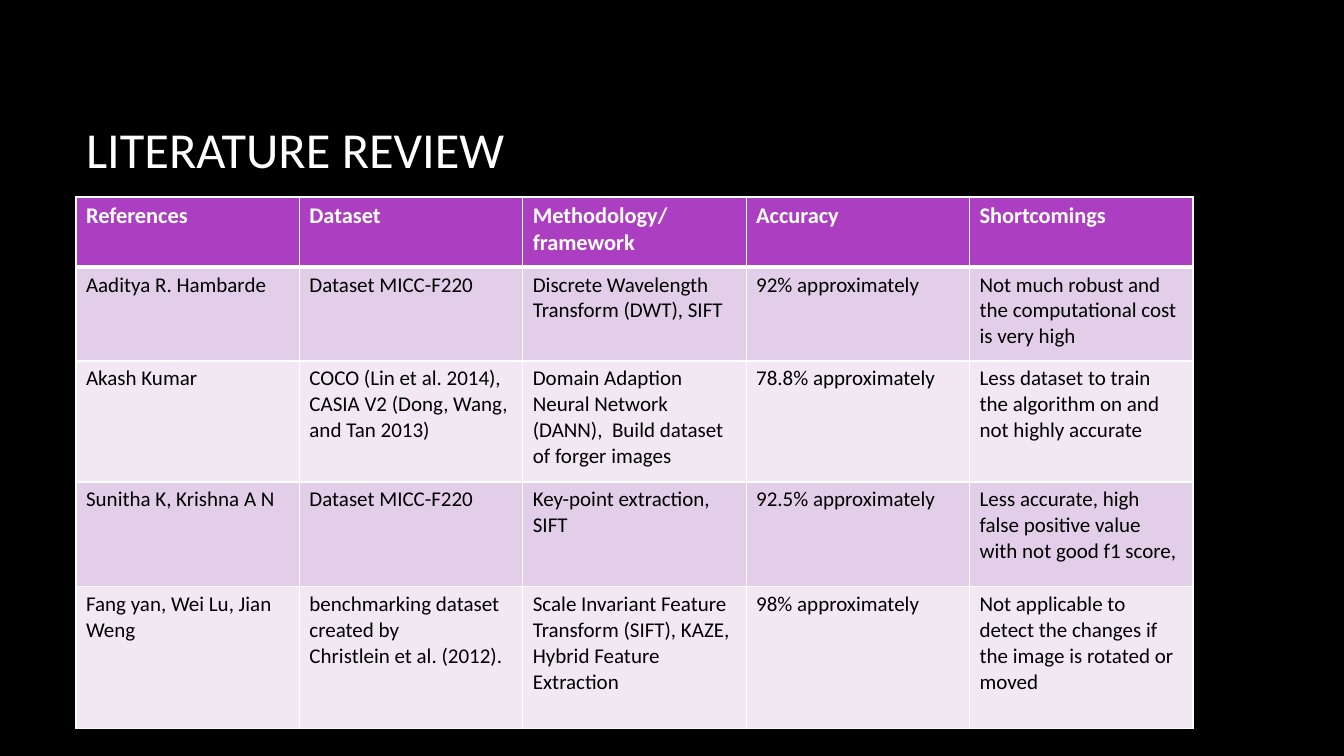
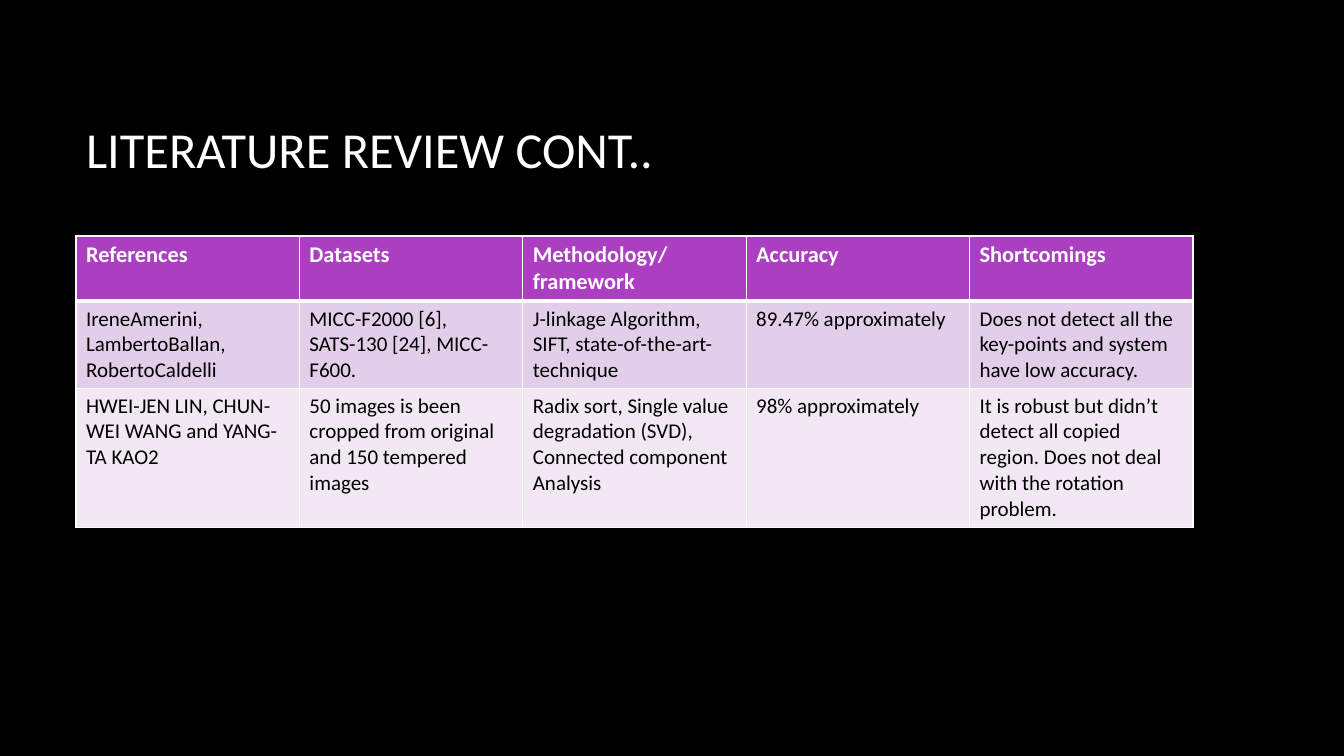
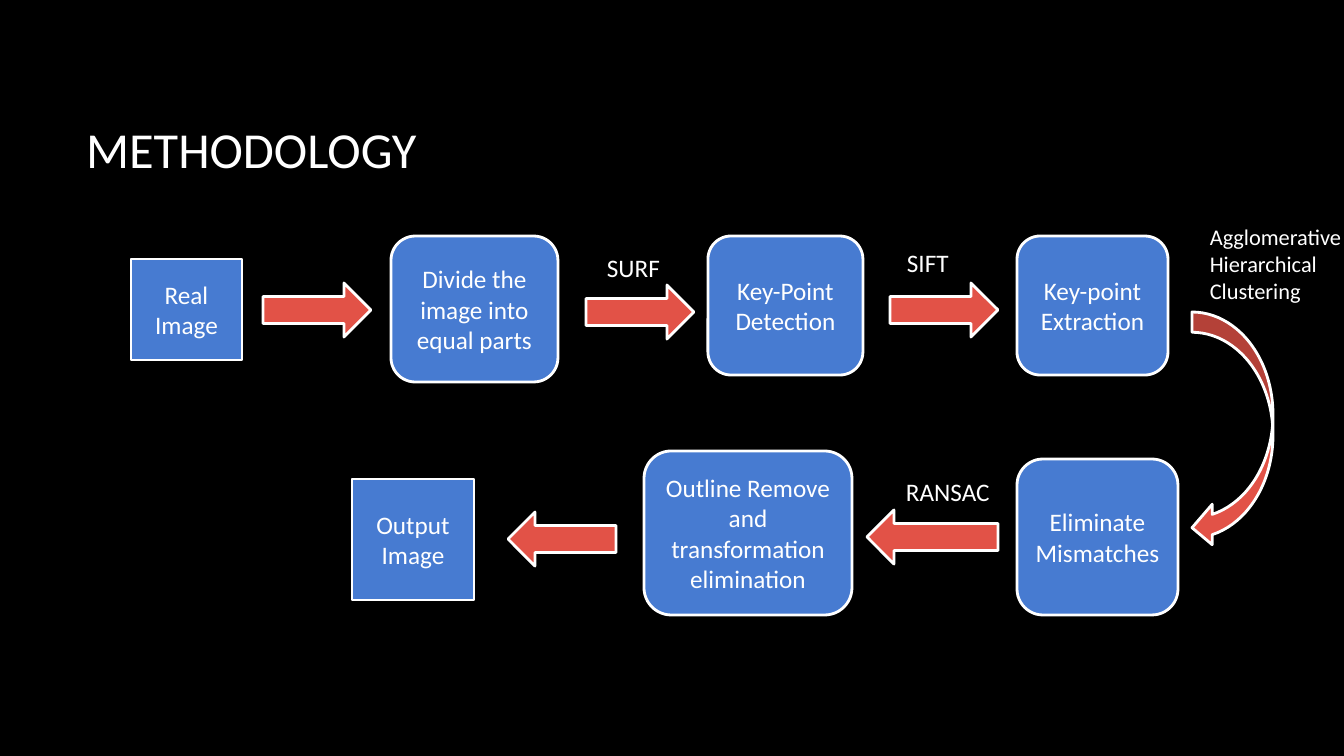
"""Build two literature review tables and a methodology flow on black slides."""
from lxml import etree
from pptx import Presentation
from pptx.dml.color import RGBColor
from pptx.enum.shapes import MSO_SHAPE
from pptx.enum.text import MSO_ANCHOR, PP_ALIGN
from pptx.oxml.ns import qn
from pptx.util import Emu, Pt

BLACK = RGBColor(0x00, 0x00, 0x00)
WHITE = RGBColor(0xFF, 0xFF, 0xFF)
PURPLE = RGBColor(0xAC, 0x3E, 0xC1)
LILAC = RGBColor(0xE3, 0xCE, 0xE9)
PALE_LILAC = RGBColor(0xF1, 0xE8, 0xF4)
BLUE = RGBColor(0x47, 0x7B, 0xD1)
RED = RGBColor(0xE2, 0x52, 0x47)

RECTANGLE = MSO_SHAPE.RECTANGLE
ROUNDED = MSO_SHAPE.ROUNDED_RECTANGLE
RIGHT_ARROW = MSO_SHAPE.RIGHT_ARROW
LEFT_ARROW = MSO_SHAPE.LEFT_ARROW
CURVED_ARROW = MSO_SHAPE.CURVED_LEFT_ARROW
LEFT, CENTER = PP_ALIGN.LEFT, PP_ALIGN.CENTER
MIDDLE = MSO_ANCHOR.MIDDLE

EMU_PER_PX = 914400 / 100.8
SLIDE_SIZE = (1344, 756)
CONTENT_LEFT, CONTENT_WIDTH = 76, 1117
TITLE_BOX = (CONTENT_LEFT, 68, CONTENT_WIDTH, 160)
TITLE_ONLY = 5

TITLE_FONT = {"name": "Calibri", "size": Pt(36), "bold": False}
HEADER_FONT = {"name": "Calibri", "size": Pt(16), "bold": True}
CELL_FONT = {"name": "Calibri", "size": Pt(15), "bold": False}
FLOW_FONT = {"name": "Calibri", "size": Pt(18), "bold": False}
NOTE_FONT = {"name": "Calibri", "size": Pt(16), "bold": False}

REVIEWS = [
    {
        "title": "LITERATURE REVIEW",
        "top": 197,
        "row_heights": [70, 94, 121, 105, 142],
        "rows": [
            ("References", "Dataset", "Methodology/framework", "Accuracy", "Shortcomings"),
            ("Aaditya R. Hambarde", "Dataset MICC-F220",
             "Discrete Wavelength Transform (DWT), SIFT", "92% approximately",
             "Not much robust and the computational cost is very high"),
            ("Akash Kumar", "COCO (Lin et al. 2014), CASIA V2 (Dong, Wang, and Tan 2013)",
             "Domain Adaption Neural Network (DANN),  Build dataset of forger images",
             "78.8% approximately",
             "Less dataset to train the algorithm on and not highly accurate"),
            ("Sunitha K, Krishna A N", "Dataset MICC-F220",
             "Key-point extraction, SIFT", "92.5% approximately",
             "Less accurate, high false positive value with not good f1 score,"),
            ("Fang yan, Wei Lu, Jian Weng",
             "benchmarking dataset created by\nChristlein et al. (2012).",
             "Scale Invariant Feature Transform (SIFT), KAZE, Hybrid Feature Extraction",
             "98% approximately",
             "Not applicable to detect the changes if the image is rotated or moved"),
        ],
    },
    {
        "title": "LITERATURE REVIEW CONT..",
        "top": 236,
        "row_heights": [65, 87, 139],
        "rows": [
            ("References", "Datasets", "Methodology/framework", "Accuracy", "Shortcomings"),
            ("IreneAmerini, LambertoBallan, RobertoCaldelli",
             "MICC-F2000 [6], SATS-130 [24], MICC-F600.",
             "J-linkage Algorithm, SIFT, state-of-the-art-technique",
             "89.47% approximately",
             "Does not detect all the key-points and system have low accuracy."),
            ("HWEI-JEN LIN, CHUN-WEI WANG and YANG-TA KAO2",
             "50 images is been cropped from original and 150 tempered images",
             "Radix sort, Single value degradation (SVD), Connected component Analysis",
             "98% approximately",
             "It is robust but didn’t detect all copied region. "
             "Does not deal with the rotation problem."),
        ],
    },
]

STEPS = [
    ("Real Image", RECTANGLE, (131, 259, 111, 101)),
    ("Divide the image into equal parts", ROUNDED, (391, 236, 167, 146)),
    ("Key-Point Detection", ROUNDED, (708, 236, 155, 139)),
    ("Key-point Extraction", ROUNDED, (1017, 236, 151, 139)),
    ("Eliminate Mismatches", ROUNDED, (1017, 459, 161, 156)),
    ("Outline Remove and transformation elimination", ROUNDED, (644, 451, 208, 164)),
    ("Output Image", RECTANGLE, (352, 479, 122, 121)),
]
ARROWS = [
    (RIGHT_ARROW, (263, 283, 108, 54)),
    (RIGHT_ARROW, (586, 285, 108, 54)),
    (RIGHT_ARROW, (890, 283, 108, 54)),
    (CURVED_ARROW, (1192, 312, 81, 236)),
    (LEFT_ARROW, (867, 510, 131, 54)),
    (LEFT_ARROW, (508, 512, 108, 54)),
]
LABELS = [
    ("SURF", FLOW_FONT, (597, 247, 84, 40)),
    ("SIFT", FLOW_FONT, (897, 242, 101, 40)),
    ("Agglomerative Hierarchical Clustering", NOTE_FONT, (1200, 218, 170, 92)),
    ("RANSAC", FLOW_FONT, (896, 471, 113, 40)),
]


def px(length):
    return Emu(round(length * EMU_PER_PX))


def place(box):
    return [px(length) for length in box]


def write(text_frame, text, font_format, color, alignment=LEFT):
    text_frame.text = text
    text_frame.word_wrap = True
    for paragraph in text_frame.paragraphs:
        paragraph.alignment = alignment
        for run in paragraph.runs:
            for name, value in font_format.items():
                setattr(run.font, name, value)
            run.font.color.rgb = color


def add_titled_slide(presentation, title):
    slide = presentation.slides.add_slide(presentation.slide_layouts[TITLE_ONLY])
    shape = slide.shapes.title
    shape.left, shape.top, shape.width, shape.height = place(TITLE_BOX)
    write(shape.text_frame, title, TITLE_FONT, WHITE)
    shape.text_frame.vertical_anchor = MIDDLE
    return slide


def add_borders(cell, widths):
    properties = cell._tc.get_or_add_tcPr()
    for side, width in widths.items():
        line = etree.SubElement(properties, qn(f"a:ln{side}"), w=str(Pt(width)))
        fill = etree.SubElement(line, qn("a:solidFill"))
        etree.SubElement(fill, qn("a:srgbClr"), val=str(WHITE))


def add_review_table(slide, review):
    rows, heights = review["rows"], review["row_heights"]
    box = (CONTENT_LEFT, review["top"], CONTENT_WIDTH, sum(heights))
    table = slide.shapes.add_table(len(rows), len(rows[0]), *place(box)).table
    for row_index, (row, height) in enumerate(zip(rows, heights)):
        table.rows[row_index].height = px(height)
        is_header = row_index == 0
        band = PURPLE if is_header else (PALE_LILAC, LILAC)[row_index % 2]
        widths = {"L": 1, "R": 1, "T": 3 if row_index == 1 else 1, "B": 3 if is_header else 1}
        for column_index, text in enumerate(row):
            cell = table.cell(row_index, column_index)
            write(cell.text_frame, text, HEADER_FONT if is_header else CELL_FONT,
                  WHITE if is_header else BLACK)
            add_borders(cell, widths)
            cell.fill.solid()
            cell.fill.fore_color.rgb = band


def add_flow_shape(slide, kind, box, color):
    shape = slide.shapes.add_shape(kind, *place(box))
    shape.shadow.inherit = False
    shape.fill.solid()
    shape.fill.fore_color.rgb = color
    shape.line.color.rgb = WHITE
    shape.line.width = Pt(2)
    return shape


def add_flow(slide):
    for kind, box in ARROWS:
        add_flow_shape(slide, kind, box, RED)
    for text, kind, box in STEPS:
        shape = add_flow_shape(slide, kind, box, BLUE)
        write(shape.text_frame, text, FLOW_FONT, WHITE, CENTER)
        shape.text_frame.vertical_anchor = MIDDLE
    for text, font_format, box in LABELS:
        label = slide.shapes.add_textbox(*place(box))
        write(label.text_frame, text, font_format, WHITE)


def main():
    presentation = Presentation()
    presentation.slide_width, presentation.slide_height = place(SLIDE_SIZE)
    background = presentation.slide_master.background.fill
    background.solid()
    background.fore_color.rgb = BLACK
    for review in REVIEWS:
        add_review_table(add_titled_slide(presentation, review["title"]), review)
    add_flow(add_titled_slide(presentation, "METHODOLOGY"))
    presentation.save("out.pptx")


if __name__ == "__main__":
    main()
